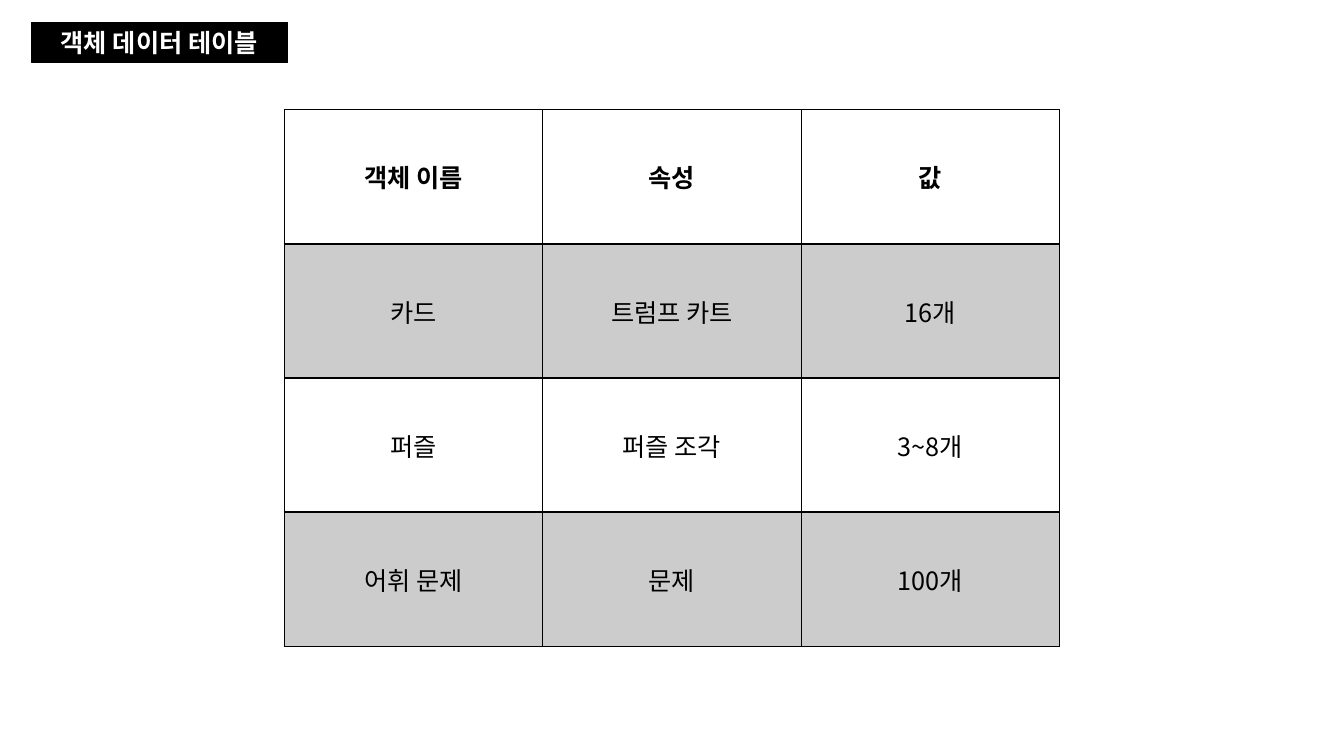
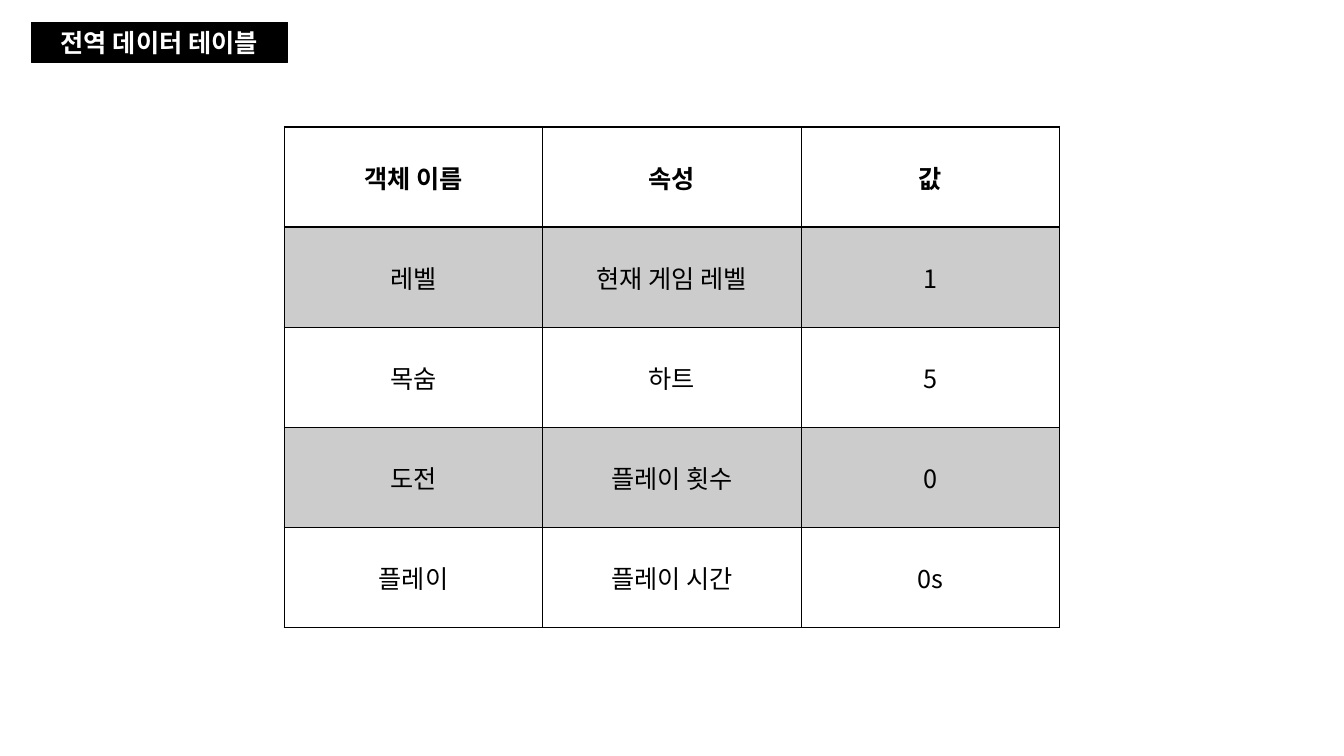
from lxml.etree import SubElement
from pptx import Presentation
from pptx.dml.color import RGBColor
from pptx.enum.shapes import MSO_SHAPE as Shape
from pptx.enum.text import MSO_ANCHOR as Anchor, PP_ALIGN as Align
from pptx.oxml.ns import qn
from pptx.util import Inches, Pt

FONT = "Noto Sans CJK KR"
BLACK = "000000"
WHITE = "FFFFFF"
BAND_OPACITY = 20
TITLE_BOX = (0.31, 0.22, 2.54, 0.4)
TABLE_LEFT, TABLE_WIDTH = 2.82, 7.69
HEADER = ("객체 이름", "속성", "값")

TABLE_SLIDES = [
    ("객체 데이터 테이블", 1.09, 5.32, [
        ("카드", "트럼프 카트", "16개"),
        ("퍼즐", "퍼즐 조각", "3~8개"),
        ("어휘 문제", "문제", "100개"),
    ]),
    ("전역 데이터 테이블", 1.26, 4.97, [
        ("레벨", "현재 게임 레벨", "1"),
        ("목숨", "하트", "5"),
        ("도전", "플레이 횟수", "0"),
        ("플레이", "플레이 시간", "0s"),
    ]),
]


def rgb(color):
    return RGBColor.from_string(color)


def write_text(text_frame, text, color, bold):
    text_frame.text = text
    paragraph = text_frame.paragraphs[0]
    paragraph.alignment = Align.CENTER
    run = paragraph.runs[0]
    run.font.name = FONT
    run.font.size = Pt(18)
    run.font.bold = bold
    run.font.color.rgb = rgb(color)
    SubElement(run.font._element, qn("a:ea"), typeface=FONT)


def add_title(slide, text, box):
    shape = slide.shapes.add_shape(Shape.RECTANGLE, *map(Inches, box))
    shape.shadow.inherit = False
    shape.fill.solid()
    shape.fill.fore_color.rgb = rgb(BLACK)
    shape.line.color.rgb = rgb(BLACK)
    shape.line.width = Pt(0.75)
    shape.text_frame.vertical_anchor = Anchor.MIDDLE
    write_text(shape.text_frame, text, WHITE, True)


def set_borders(cell, widths):
    properties = cell._tc.get_or_add_tcPr()
    for side, width in widths.items():
        line = SubElement(properties, qn(f"a:ln{side}"), w=str(Pt(width)))
        fill = SubElement(line, qn("a:solidFill"))
        SubElement(fill, qn("a:srgbClr"), val=BLACK)


def fill_band(cell):
    cell.fill.solid()
    cell.fill.fore_color.rgb = rgb(BLACK)
    color = cell._tc.tcPr.find(f"{qn('a:solidFill')}/{qn('a:srgbClr')}")
    SubElement(color, qn("a:alpha"), val=str(BAND_OPACITY * 1000))


def add_data_table(slide, rows, box):
    left, top, width, height = map(Inches, box)
    frame = slide.shapes.add_table(len(rows), len(rows[0]), left, top, width, height)
    table = frame.table
    table.horz_banding = False
    for row_index, row in enumerate(rows):
        is_header = row_index == 0
        for column_index, text in enumerate(row):
            cell = table.cell(row_index, column_index)
            cell.vertical_anchor = Anchor.MIDDLE
            write_text(cell.text_frame, text, BLACK, is_header)
            top_width = 2 if row_index == 1 else 1
            bottom_width = 2 if is_header else 1
            set_borders(cell, {"L": 1, "R": 1, "T": top_width, "B": bottom_width})
            if row_index % 2:
                fill_band(cell)
            else:
                cell.fill.background()


def add_table_slide(presentation, title, top, height, rows):
    slide = presentation.slides.add_slide(presentation.slide_layouts[6])
    add_title(slide, title, TITLE_BOX)
    add_data_table(slide, [HEADER] + rows, (TABLE_LEFT, top, TABLE_WIDTH, height))


def main():
    presentation = Presentation()
    presentation.slide_width = Inches(13.33)
    presentation.slide_height = Inches(7.5)
    for content in TABLE_SLIDES:
        add_table_slide(presentation, *content)
    presentation.save("out.pptx")


if __name__ == "__main__":
    main()
